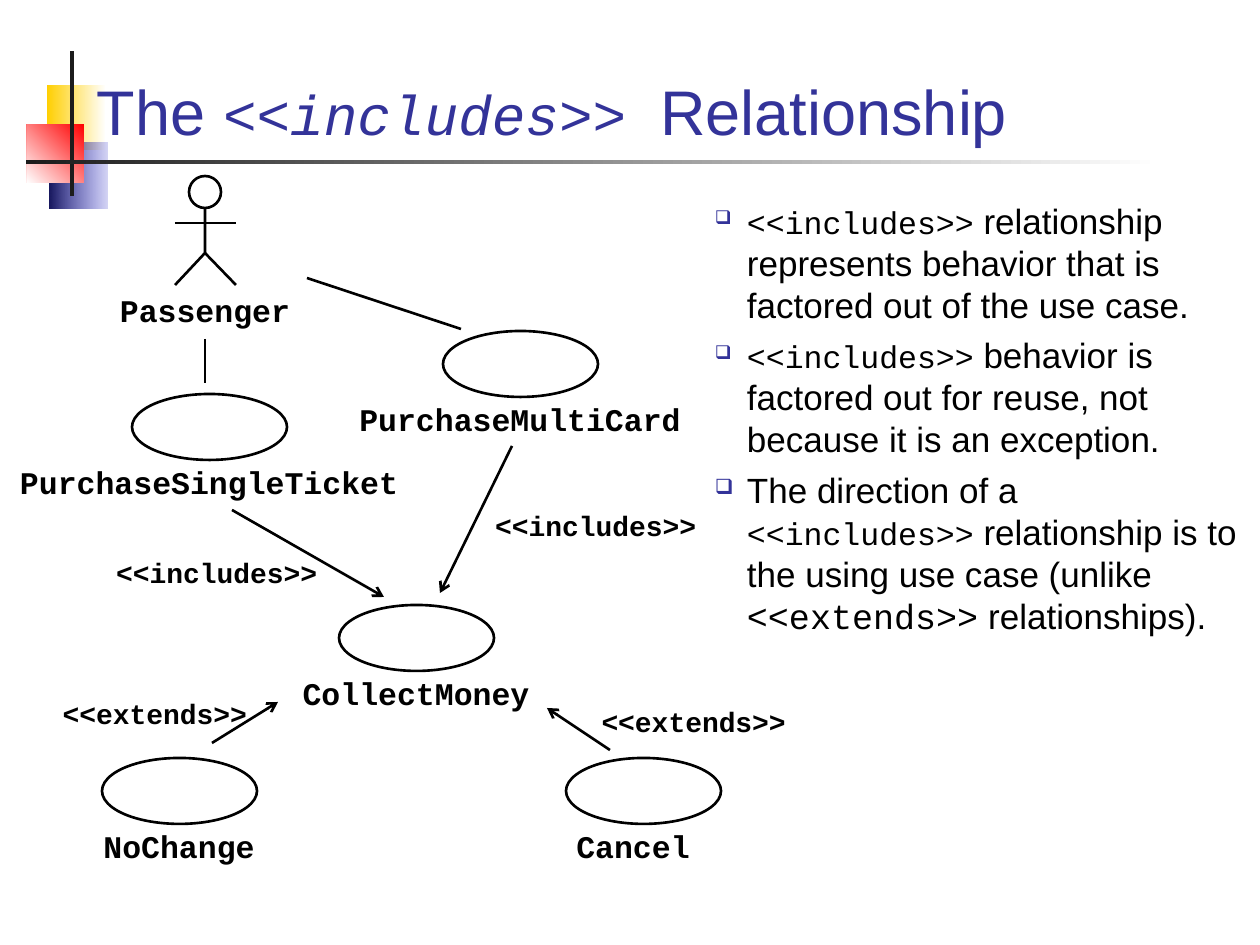
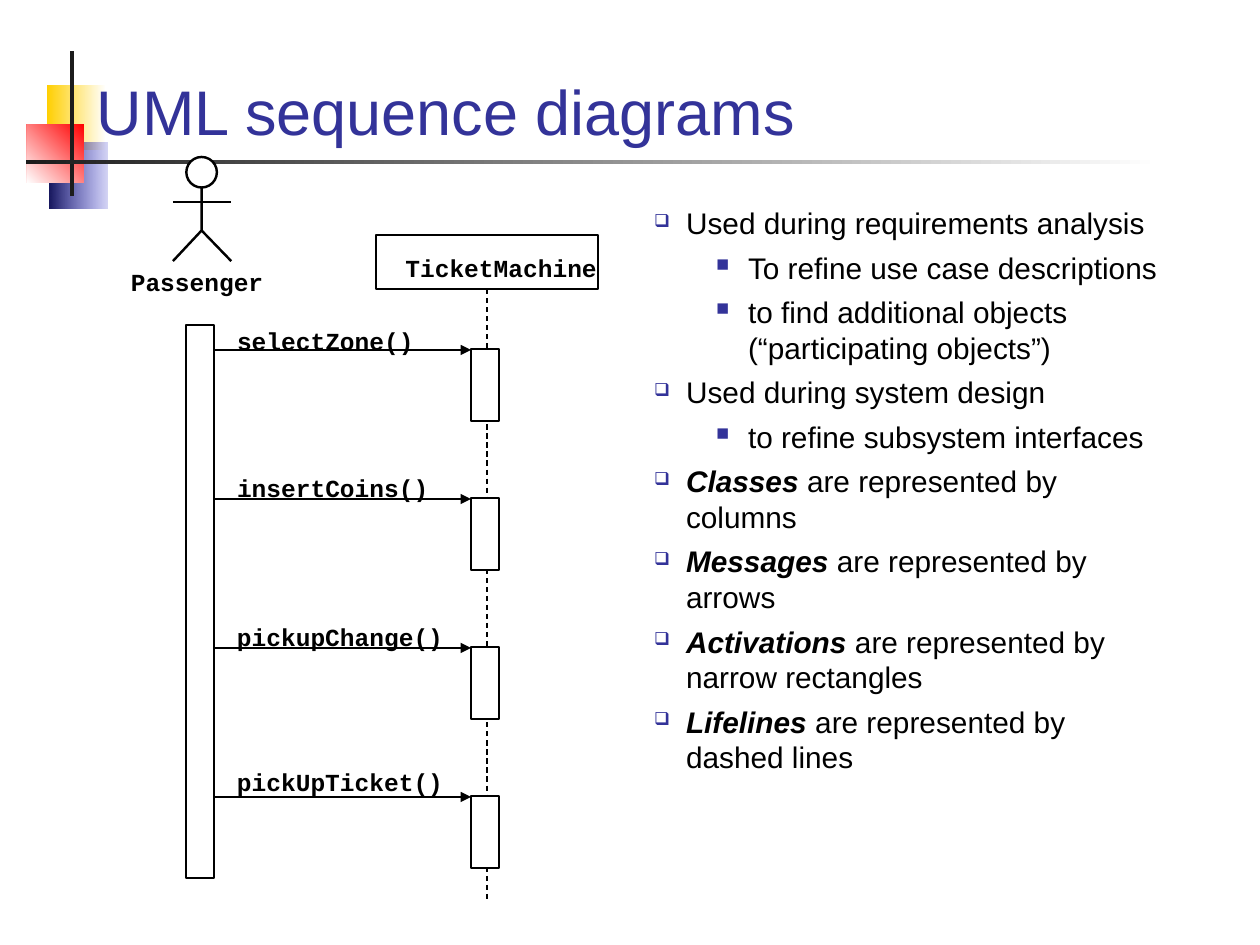
from lxml.etree import SubElement
from pptx import Presentation
from pptx.dml.color import RGBColor
from pptx.enum.dml import MSO_LINE
from pptx.enum.shapes import MSO_CONNECTOR, MSO_SHAPE
from pptx.enum.text import MSO_ANCHOR, MSO_AUTO_SIZE
from pptx.oxml.ns import qn
from pptx.util import Inches, Pt

PX = Inches(1) / 126
LABEL_SLACK = 6
COLORS = {
    "white": "FFFFFF", "black": "000000", "title": "333399", "bar": "1C1C1C",
    "yellow": "FFCF01", "blue": "3333CC", "navy": "17175E", "red": "FF0000",
}
PLAIN = {"name": "Arial"}
CODE = {"name": "Courier New"}
LABEL = CODE | {"bold": True}
STRONG = PLAIN | {"bold": True, "italic": True}
BULLETS = (("❑", 32), ("■", 94))


def emu(*lengths):
    """Turn lengths in px into EMU."""
    return [round(length * PX) for length in lengths]


def rgb(name):
    """Look up a colour by name."""
    return RGBColor.from_string(COLORS[name])


def set_values(target, values):
    """Set each attribute named in a dict."""
    for name, value in values.items():
        setattr(target, name, value)


def add_span(para, text, size, style, color="black"):
    """Add one formatted run to a paragraph."""
    span = para.add_run()
    span.text = text
    set_values(span.font, style | {"size": Pt(size)})
    span.font.color.rgb = rgb(color)


def add_frame(page, box, margins=(0, 0), **values):
    """Add a text box and return its text frame."""
    frame = page.shapes.add_textbox(*emu(*box)).text_frame
    across, down = emu(*margins)
    set_values(frame, {"margin_left": across, "margin_right": across,
                       "margin_top": down, "margin_bottom": down} | values)
    return frame


def code_width(text, size):
    """Return the width in px of a monospaced text."""
    return len(text) * size * 1.05


def add_label(page, text, left, top, size):
    """Add a bold code label at its left edge."""
    frame = add_frame(page, (left, top, code_width(text, size) + LABEL_SLACK, size * 2),
                      word_wrap=False, auto_size=MSO_AUTO_SIZE.SHAPE_TO_FIT_TEXT)
    add_span(frame.paragraphs[0], text, size, LABEL)


def add_centred_label(page, text, center, top, size):
    """Add a bold code label around a centre."""
    add_label(page, text, center - code_width(text, size) / 2, top, size)


def add_outline(page, kind, box, weight, fill=None):
    """Add a black outlined shape with an optional fill."""
    shape = page.shapes.add_shape(kind, *emu(*box))
    shape.shadow.inherit = False
    shape.line.color.rgb = rgb("black")
    shape.line.width = Pt(weight)
    if fill:
        shape.fill.solid()
        shape.fill.fore_color.rgb = rgb(fill)
    else:
        shape.fill.background()
    return shape


def add_line(page, ends, weight, arrow=None, dash=None):
    """Add a straight line with an optional arrowhead at its end."""
    line = page.shapes.add_connector(MSO_CONNECTOR.STRAIGHT, *emu(*ends))
    line.line.color.rgb = rgb("black")
    set_values(line.line, {"width": Pt(weight), "dash_style": dash})
    properties = line.element.spPr
    if arrow:
        SubElement(properties.find(qn("a:ln")), qn("a:tailEnd"), type=arrow)
    SubElement(properties, qn("a:effectLst"))
    return line


def add_band(page, box, start, end, angle=180, alpha=None):
    """Add a borderless rectangle with a gradient."""
    band = page.shapes.add_shape(MSO_SHAPE.RECTANGLE, *emu(*box))
    band.shadow.inherit = False
    band.line.fill.background()
    band.fill.gradient()
    band.fill.gradient_angle = angle
    for stop, color in zip(band.fill.gradient_stops, (start, end)):
        stop.color.rgb = rgb(color)
    if alpha:
        first_color = next(band.element.iter(qn("a:srgbClr")))
        SubElement(first_color, qn("a:alpha"), val=str(alpha * 1000))


def draw_frame(page, title):
    """Draw the corner ornament and the title of a page."""
    add_band(page, (47, 85, 59, 65), "white", "yellow")
    add_band(page, (49, 143, 58, 66), "blue", "navy", alpha=20)
    add_band(page, (27, 124, 57, 59), "red", "white", angle=225)
    add_band(page, (70, 51, 4, 145), "bar", "bar")
    add_band(page, (26, 160, 1134, 4), "white", "bar")
    frame = add_frame(page, (84, 34, 1091, 120), (13, 6), word_wrap=True,
                      vertical_anchor=MSO_ANCHOR.BOTTOM)
    for text, size, style in title:
        add_span(frame.paragraphs[0], text, size, style, "title")


def add_bullet(para, level):
    """Give a paragraph its hanging bullet."""
    mark, margin = BULLETS[level]
    properties = para._p.get_or_add_pPr()
    left, hang = emu(margin, -32)
    properties.set("marL", str(left))
    properties.set("indent", str(hang))
    color = SubElement(properties, qn("a:buClr"))
    SubElement(color, qn("a:srgbClr"), val=COLORS["title"])
    SubElement(properties, qn("a:buSzPct"), val="60000")
    SubElement(properties, qn("a:buChar"), char=mark)


def draw_bullets(page, box, items):
    """Draw a list of (level, runs) items."""
    frame = add_frame(page, box, (13, 6), word_wrap=True)
    for index, (level, runs) in enumerate(items):
        para = frame.add_paragraph() if index else frame.paragraphs[0]
        add_bullet(para, level)
        set_values(para, {"level": level, "space_before": Pt(5 if index else 0)})
        for run in runs:
            add_span(para, *run)


def draw_actor(page, left, top, scale, weight, label_center, label_size):
    """Draw the passenger stick figure with its name."""
    def place(*points):
        return [origin + scale * value
                for origin, value in zip((left, top) * 2, points)]

    neck, hips, foot = (emu(*place(*point)) for point in ((30, 23), (30, 77), (0, 109)))
    builder = page.shapes.build_freeform(*neck)
    builder.add_line_segments([hips, foot], close=False)
    body = builder.convert_to_shape()
    body.shadow.inherit = False
    body.fill.background()
    body.line.color.rgb = rgb("black")
    body.line.width = Pt(weight)
    for ends in ((30, 77, 61, 109), (0, 47, 61, 47)):
        add_line(page, place(*ends), weight)
    add_outline(page, MSO_SHAPE.OVAL, (*place(14, 0), 32 * scale, 32 * scale),
                weight, "white")
    add_centred_label(page, "Passenger", label_center, top + 115 * scale, label_size)


def draw_use_cases(page, left, top):
    """Draw the use case diagram from its top left corner."""
    def shift(*points):
        return [origin + value for origin, value in zip((left, top) * 2, points)]

    draw_actor(page, *shift(155, 0), 1, 1.5, left + 185, 18)
    cases = (
        ("PurchaseSingleTicket", 112, 218, 0), ("PurchaseMultiCard", 423, 155, 0),
        ("CollectMoney", 319, 429, 0), ("NoChange", 82, 582, 0), ("Cancel", 546, 582, -10),
    )
    for name, x, y, nudge in cases:
        add_outline(page, MSO_SHAPE.OVAL, (*shift(x, y), 155, 66), 1.5)
        add_centred_label(page, name, *shift(x + 77 + nudge, y + 69), 18)
    for ends in ((185, 163, 185, 207), (287, 102, 441, 153)):
        add_line(page, shift(*ends), 1.5)
    relations = (
        ("<<includes>>", (492, 270, 420, 417), (576, 333)),
        ("<<includes>>", (212, 334, 364, 421), (197, 380)),
        ("<<extends>>", (192, 567, 258, 526), (135, 521)),
        ("<<extends>>", (590, 574, 527, 532), (674, 529)),
    )
    for name, ends, label in relations:
        add_line(page, shift(*ends), 1.5, "arrow")
        add_centred_label(page, name, *shift(*label), 16)


def draw_sequence(page, left, top):
    """Draw the sequence diagram from its top left corner."""
    weight = 1.39
    draw_actor(page, left + 42, top, 0.955, weight, left + 66, 14)
    add_outline(page, MSO_SHAPE.RECTANGLE, (left + 55, top + 168, 28, 553), weight, "white")
    header = add_outline(page, MSO_SHAPE.RECTANGLE, (left + 245, top + 78, 222, 54), weight)
    add_centred_label(page, "TicketMachine", left + 370, top + 96, 14)
    lifeline = add_line(page, (left + 356, top + 132, left + 356, top + 742), 0.75,
                        dash=MSO_LINE.DASH)
    lifeline.begin_connect(header, 2)
    messages = (("selectZone()", 169), ("insertCoins()", 316),
                ("pickupChange()", 465), ("pickUpTicket()", 610))
    for index, (name, label_top) in enumerate(messages):
        y = top + 192 + 149 * index
        add_outline(page, MSO_SHAPE.RECTANGLE, (left + 340, y, 28, 72), weight, "white")
        add_line(page, (left + 83, y + 1, left + 340, y + 1), weight, "triangle")
        add_label(page, name, left + 106, top + label_top, 14)


def build_includes_page(page):
    """Build the page on the includes relationship."""
    draw_frame(page, [("The ", 36, PLAIN), ("<<includes>> ", 32, CODE | {"italic": True}),
                      ("Relationship", 36, PLAIN)])
    includes = ("<<includes>>", 18, CODE)
    draw_bullets(page, (702, 193, 558, 662), [
        (0, [includes, (" relationship represents behavior that is factored out "
                        "of the use case.", 20, PLAIN)]),
        (0, [includes, (" behavior is factored out for reuse, not because it is "
                        "an exception.", 20, PLAIN)]),
        (0, [("The direction of a ", 20, PLAIN), includes,
             (" relationship is to the using use case (unlike ", 20, PLAIN),
             ("<<extends>>", 20, CODE), (" relationships).", 20, PLAIN)]),
    ])
    draw_use_cases(page, 20, 176)


def build_sequence_page(page):
    """Build the page on sequence diagrams."""
    draw_frame(page, [("UML sequence diagrams", 36, PLAIN)])
    uses = ((0, "Used during requirements analysis"),
            (1, "To refine use case descriptions"),
            (1, "to find additional objects (“participating objects”)"),
            (0, "Used during system design"),
            (1, "to refine subsystem interfaces"))
    notation = (("Classes", "columns"), ("Messages", "arrows"),
                ("Activations", "narrow rectangles"), ("Lifelines", "dashed lines"))
    items = [(level, [(text, 17, PLAIN)]) for level, text in uses]
    items += [(0, [(term, 17, STRONG), (f" are represented by {sign}", 17, PLAIN)])
              for term, sign in notation]
    draw_bullets(page, (641, 199, 534, 600), items)
    draw_sequence(page, 131, 157)


def main():
    """Build and save the deck."""
    deck = Presentation()
    set_values(deck, {"slide_width": Inches(10), "slide_height": Inches(7.5)})
    for build in (build_includes_page, build_sequence_page):
        build(deck.slides.add_slide(deck.slide_layouts[6]))
    deck.save("out.pptx")


if __name__ == "__main__":
    main()
